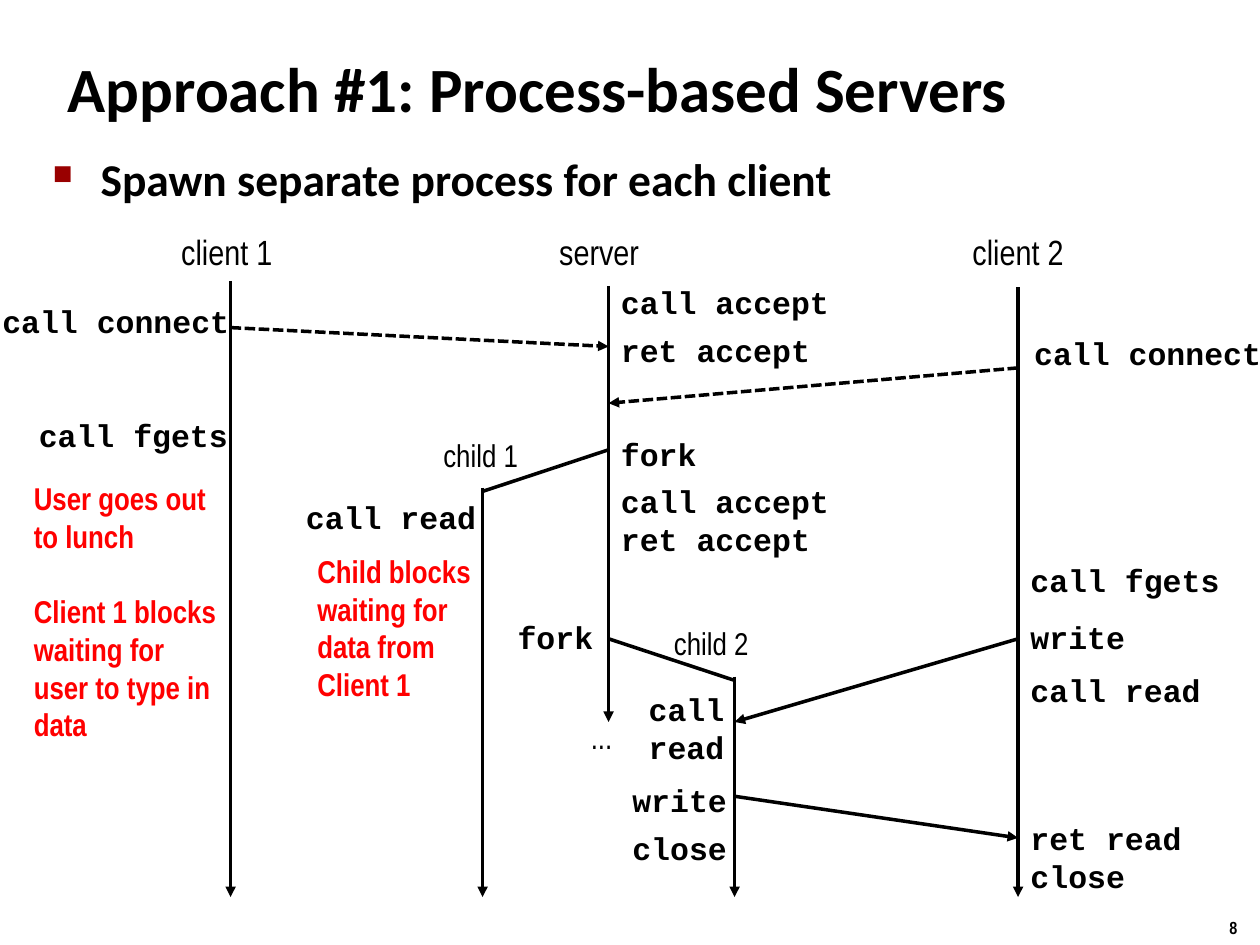
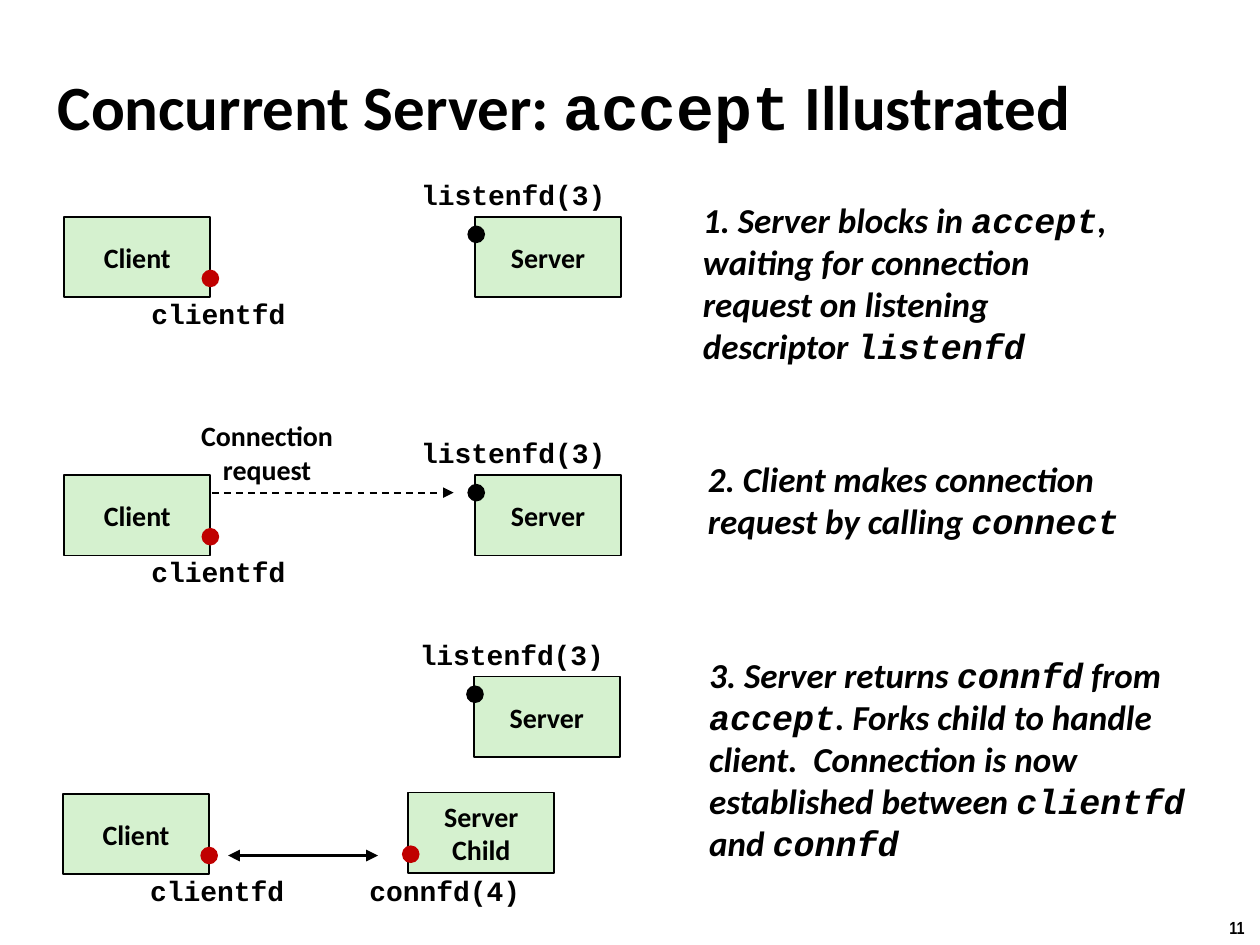
from lxml import etree
from pptx import Presentation
from pptx.dml.color import RGBColor
from pptx.enum.dml import MSO_LINE
from pptx.enum.shapes import MSO_CONNECTOR, MSO_SHAPE
from pptx.enum.text import MSO_ANCHOR, PP_ALIGN
from pptx.oxml.ns import qn
from pptx.util import Inches, Pt

LEFT, CENTER, RIGHT = PP_ALIGN.LEFT, PP_ALIGN.CENTER, PP_ALIGN.RIGHT
TOP, MIDDLE = MSO_ANCHOR.TOP, MSO_ANCHOR.MIDDLE
DOTTED, DASHED = MSO_LINE.SQUARE_DOT, MSO_LINE.DASH
RECT, OVAL = MSO_SHAPE.RECTANGLE, MSO_SHAPE.OVAL

COLORS = {"ink": "000000", "alert": "FF0000", "bullet": "990000",
          "node": "D5F1CF", "connected": "C00000"}
SANS, NARROW, MONO = "Calibri", "Arial Narrow", "Courier New"

# ---- Slide 1: time runs down, one lane per process ----
LANES = {"client 1": 1.83, "child 1": 3.83, "server": 4.83,
         "child 2": 5.83, "client 2": 8.08}
LANE_SPANS = {"client 1": (2.23, 7.12), "child 1": (3.87, 7.12),
              "server": (2.27, 5.73), "child 2": (5.37, 7.12),
              "client 2": (2.28, 7.12)}
# name: left, top, width, size
LANE_NAMES = {"client 1": (1.34, 1.78, 0.93, 20), "server": (4.34, 1.78, 0.84, 20),
              "client 2": (7.62, 1.78, 0.93, 20), "child 1": (3.42, 3.41, 0.92, 18),
              "child 2": (5.25, 4.9, 0.92, 18), "...": (4.59, 5.65, 0.41, 18)}
# from lane, y, to lane, y, format
MESSAGES = [
    ("client 1", 2.6, "server", 2.75, {"dash": DOTTED, "tail": True}),
    ("client 2", 2.92, "server", 3.2, {"dash": DOTTED, "tail": True}),
    ("server", 3.57, "child 1", 3.9, {}),
    ("server", 5.07, "child 2", 5.4, {}),
    ("client 2", 5.07, "child 2", 5.73, {"tail": True}),
    ("child 2", 6.32, "client 2", 6.65, {"tail": True}),
]
# column left: calls with their tops
CALLS = [
    (-0.08, [("call connect", 2.35)]),
    (0.21, [("call fgets", 3.25)]),
    (2.33, [("call read", 3.9)]),
    (4.01, [("fork", 4.86)]),
    (4.83, [("call accept", 2.2), ("ret accept", 2.58), ("fork", 3.4),
            ("call accept", 3.78), ("ret accept", 4.08)]),
    (5.05, [("call\nread", 5.43)]),
    (4.92, [("write", 6.15), ("close", 6.53)]),
    (8.11, [("call connect", 2.6)]),
    (8.08, [("call fgets", 4.4), ("write", 4.86), ("call read", 5.28),
            ("ret read", 6.45), ("close", 6.75)]),
]
# text, left, top, height, space before each paragraph
REMARKS = [
    ("User goes out to lunch\nClient 1 blocks\nwaiting for user to type in data",
     0.17, 3.75, 2.22, (0, 21.5, 0)),
    ("Child blocks waiting for data from Client 1", 2.42, 4.33, 1.31, ()),
]

# ---- Slide 2: nodes with a descriptor each ----
NODE_W, NODE_H, DOT = 1.16, 0.64, 0.14
# descriptor: dot offset and label offset from the node's corner, colour
PORTS = {
    "clientfd": ((1.09, 0.42), (0.59, 0.58), "connected"),
    "listenfd(3)": ((-0.06, 0.07), (-0.53, -0.36), "ink"),
    "connfd(4)": ((-0.05, 0.42), (-0.41, 0.59), "connected"),
}
NODES = [
    ("Client", "clientfd", 0.51, 1.72), ("Server", "listenfd(3)", 3.77, 1.72),
    ("Client", "clientfd", 0.51, 3.77), ("Server", "listenfd(3)", 3.77, 3.77),
    ("Client", "clientfd", 0.5, 6.3), ("Server", "listenfd(3)", 3.76, 5.37),
    ("Server\nChild", "connfd(4)", 3.24, 6.29),
]
STEPS = [
    ("1. Server blocks in `accept`, waiting for connection request on listening "
     "descriptor `listenfd`", 5.48, 1.52, 3.6, 1.45),
    ("2. Client makes connection request by calling `connect`", 5.52, 3.58, 4.01, 0.77),
    ("3. Server returns `connfd` from `accept`. Forks child to handle client.  "
     "Connection is now established between `clientfd` and `connfd`",
     5.53, 5.13, 4.39, 1.78),
]


def rgb(name):
    return RGBColor.from_string(COLORS[name])


def write(shape, content, font=SANS, size=18, color="ink", bold=True, italic=False,
          align=LEFT, anchor=TOP, wrap=False, gaps=(), bullet=False):
    """Fill a shape; newlines split paragraphs and backticks mark code."""
    tf = shape.text_frame
    tf.word_wrap, tf.vertical_anchor = wrap, anchor
    for i, line in enumerate(content.split("\n")):
        p = tf.paragraphs[0] if i == 0 else tf.add_paragraph()
        p.alignment = align
        if i < len(gaps) and gaps[i]:
            p.space_before = Pt(gaps[i])
        if bullet:
            add_bullet(p)
        for j, part in enumerate(line.split("`")):
            if not part:
                continue
            r = p.add_run()
            r.text = part
            f = r.font
            f.name, f.size = MONO if j % 2 else font, Pt(size)
            f.bold, f.italic, f.color.rgb = bold, italic, rgb(color)


def add_bullet(p):
    pPr = p._p.get_or_add_pPr()
    pPr.set("marL", str(Inches(0.38)))
    pPr.set("indent", str(-Inches(0.38)))
    clr = etree.SubElement(pPr, qn("a:buClr"))
    etree.SubElement(clr, qn("a:srgbClr"), val=COLORS["bullet"])
    etree.SubElement(pPr, qn("a:buSzPct"), val="60000")
    etree.SubElement(pPr, qn("a:buChar"), char="■")


def text(s, content, x, y, w, h, **fmt):
    write(s.shapes.add_textbox(Inches(x), Inches(y), Inches(w), Inches(h)), content, **fmt)


def code(s, content, x, y, size=18, **fmt):
    """Place monospaced text in a box as wide as its longest line."""
    lines = content.split("\n")
    w = 0.2 + max(map(len, lines)) * 0.6 * size / 72
    h = 0.1 + len(lines) * size / 60
    text(s, content, x, y, w, h, font=MONO, size=size, **fmt)


def line(s, x1, y1, x2, y2, width=2, dash=None, head=False, tail=False):
    c = s.shapes.add_connector(MSO_CONNECTOR.STRAIGHT, *map(Inches, (x1, y1, x2, y2)))
    c.line.color.rgb, c.line.width = rgb("ink"), Pt(width)
    if dash:
        c.line.dash_style = dash
    ln = c.line._get_or_add_ln()
    for tag, shown in (("a:headEnd", head), ("a:tailEnd", tail)):
        if shown:
            etree.SubElement(ln, qn(tag), type="triangle")
    etree.SubElement(c._element.spPr, qn("a:effectLst"))


def solid(s, kind, x, y, w, h, fill, outlined=False):
    sp = s.shapes.add_shape(kind, *map(Inches, (x, y, w, h)))
    sp.shadow.inherit = False
    sp.fill.solid()
    sp.fill.fore_color.rgb = rgb(fill)
    if outlined:
        sp.line.color.rgb, sp.line.width = rgb("ink"), Pt(1)
    else:
        sp.line.fill.background()
    return sp


def node(s, name, port, x, y):
    (dot_x, dot_y), (label_x, label_y), color = PORTS[port]
    code(s, port, x + label_x, y + label_y, size=16, align=CENTER, anchor=MIDDLE)
    box = solid(s, RECT, x, y, NODE_W, NODE_H, "node", outlined=True)
    write(box, name, size=16, align=CENTER, anchor=MIDDLE)
    solid(s, OVAL, x + dot_x, y + dot_y, DOT, DOT, color)


def new_slide(prs, title, number, x, y, w, h):
    s = prs.slides.add_slide(prs.slide_layouts[6])
    text(s, title, x, y, w, h, size=36, anchor=MIDDLE, wrap=True)
    text(s, number, 9.66, 7.23, 0.34, 0.27, font=NARROW, size=10)
    return s


def process_slide(prs):
    s = new_slide(prs, "Approach #1: Process-based Servers", "8", 0.44, 0.27, 9.54, 0.85)
    text(s, "Spawn separate process for each client", 0.32, 1.15, 9.68, 0.6,
         size=26, wrap=True, bullet=True)
    for lane, (start, end) in LANE_SPANS.items():
        line(s, LANES[lane], start, LANES[lane], end, tail=True)
    for name, (x, y, w, size) in LANE_NAMES.items():
        text(s, name, x, y, w, 0.1 + size / 60, font=NARROW, size=size, bold=False)
    for source, y1, target, y2, fmt in MESSAGES:
        line(s, LANES[source], y1, LANES[target], y2, **fmt)
    for x, calls in CALLS:
        for call, y in calls:
            code(s, call, x, y)
    for remark, x, y, h, gaps in REMARKS:
        text(s, remark, x, y, 1.67, h, font=NARROW, color="alert", wrap=True, gaps=gaps)


def accept_slide(prs):
    s = new_slide(prs, "Concurrent Server: `accept` Illustrated", "11",
                  0.36, 0.52, 9.17, 0.63)
    for item in NODES:
        node(s, *item)
    for step in STEPS:
        text(s, *step, size=20, italic=True, anchor=MIDDLE, wrap=True)
    text(s, "Connection\nrequest", 1.49, 3.27, 1.26, 0.64, size=16,
         align=CENTER, anchor=MIDDLE)
    line(s, 1.68, 3.91, 3.6, 3.91, width=1, dash=DASHED, tail=True)
    line(s, 1.81, 6.79, 3, 6.79, width=2.25, head=True, tail=True)


def main():
    prs = Presentation()
    prs.slide_width, prs.slide_height = Inches(10), Inches(7.5)
    process_slide(prs)
    accept_slide(prs)
    prs.save("out.pptx")


if __name__ == "__main__":
    main()
